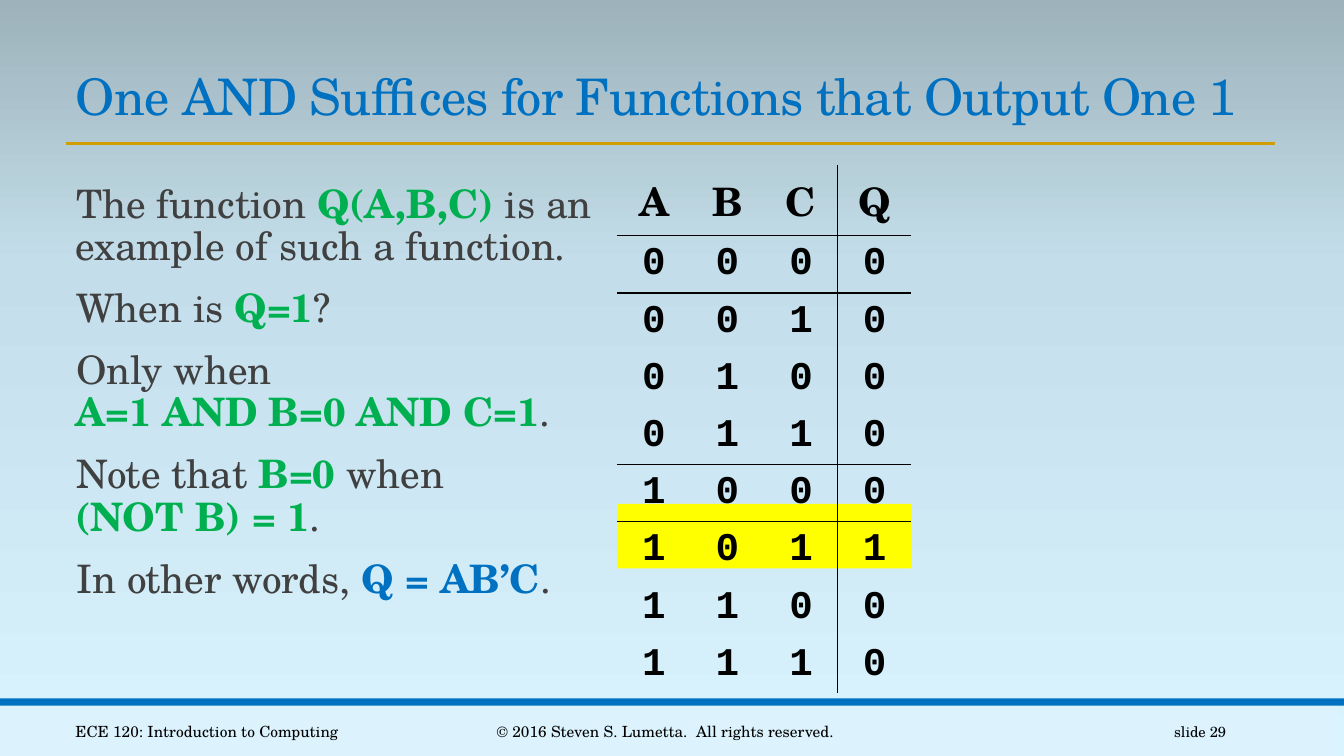
"""Build the slide on functions that output a single 1."""
import dataclasses
import itertools
import typing

import pptx
import pptx.dml.color
import pptx.enum.dml
import pptx.enum.shapes
import pptx.enum.text
import pptx.oxml
import pptx.oxml.ns
import pptx.util

EMU_PER_PX = 9144
SCHOLA = "TeX Gyre Schola"
COURIER = "Courier New"
BLACK = pptx.dml.color.RGBColor(0x00, 0x00, 0x00)
GREY = pptx.dml.color.RGBColor(0x40, 0x40, 0x40)
GREEN = pptx.dml.color.RGBColor(0x00, 0xB0, 0x50)
BLUE = pptx.dml.color.RGBColor(0x00, 0x70, 0xC0)
GOLD = pptx.dml.color.RGBColor(0xD0, 0x9E, 0x00)
YELLOW = pptx.dml.color.RGBColor(0xFF, 0xFF, 0x00)
PALE_BLUE = pptx.dml.color.RGBColor(0xDC, 0xF3, 0xFD)
SKY_STOPS = {
    0: pptx.dml.color.RGBColor(0xDA, 0xF4, 0xFF),
    65: pptx.dml.color.RGBColor(0xC3, 0xDE, 0xEA),
    100: pptx.dml.color.RGBColor(0x9D, 0xB2, 0xBA),
}
ALIGN = pptx.enum.text.PP_ALIGN
ANCHOR = pptx.enum.text.MSO_ANCHOR
NO_GRID_STYLE = "{2D5ABB26-0587-4C30-8999-92F81FD0307C}"
HEADINGS = "ABCQ"
COLUMN_WIDTH, HEADER_HEIGHT, ROW_HEIGHT = 73, 70, 54
RULED_ROWS = (0, 4)


@dataclasses.dataclass(frozen=True)
class Box:
    """A place on the slide in px."""
    left: int
    top: int
    width: int
    height: int

    def emu(self) -> list[int]:
        """Return left, top, width and height in EMU."""
        return [px(value) for value in dataclasses.astuple(self)]


@dataclasses.dataclass(frozen=True)
class Bar:
    """A plain filled rectangle."""
    box: Box
    color: pptx.dml.color.RGBColor


@dataclasses.dataclass(frozen=True)
class Footer:
    """A small text at the foot of the slide."""
    box: Box
    text: str
    size: float
    alignment: ALIGN


@dataclasses.dataclass(frozen=True)
class Span:
    """A piece of body text, coloured and bold when it is a formula."""
    text: str
    color: pptx.dml.color.RGBColor = GREY


BARS = (
    Bar(Box(-6, 700, 1333, 50), PALE_BLUE),
    Bar(Box(0, 693, 1333, 7), BLUE),
    Bar(Box(612, 500, 292, 64), YELLOW),
)
FOOTERS = (
    Footer(Box(65, 706, 325, 40), "ECE 120: Introduction to Computing", 11, ALIGN.LEFT),
    Footer(Box(403, 706, 514, 40), "© 2016 Steven S. Lumetta.  All rights reserved.", 11, ALIGN.CENTER),
    Footer(Box(1083, 706, 143, 40), "slide 29", 10.5, ALIGN.RIGHT),
)
BODY = (
    (Span("The function "), Span("Q(A,B,C)", GREEN), Span(" is an\nexample of such a function.")),
    (Span("When is "), Span("Q=1", GREEN), Span("?")),
    (Span("Only when\n"), Span("A=1 AND B=0 AND C=1", GREEN), Span(".")),
    (Span("Note that "), Span("B=0", GREEN), Span(" when \n"), Span("(NOT B) = 1", GREEN), Span(".")),
    (Span("In other words, "), Span("Q = AB’C", BLUE), Span(".")),
)


def px(value: int) -> int:
    """Turn px into EMU."""
    return value * EMU_PER_PX


def apply_format(target: typing.Any, values: dict[str, typing.Any]) -> None:
    """Set each named attribute of the target."""
    for name, value in values.items():
        setattr(target, name, value)


def place(shape: typing.Any, box: Box) -> None:
    """Move and size a shape."""
    apply_format(shape, dict(zip(("left", "top", "width", "height"), box.emu())))


def add_run(paragraph: typing.Any, text: str, size: float, color: pptx.dml.color.RGBColor,
            bold: bool = False, name: str = SCHOLA) -> typing.Any:
    """Add a formatted run to a paragraph."""
    run = paragraph.add_run()
    run.text = text
    apply_format(run.font, {"name": name, "size": pptx.util.Pt(size), "bold": bold})
    run.font.color.rgb = color
    return run


def add_xml(parent: typing.Any, xml: str, index: int | None = None) -> None:
    """Insert a drawing element into its parent."""
    element = pptx.oxml.parse_xml(xml.replace("/>" if xml.endswith("/>") and xml.count("<") == 1 else ">",
                                              f" {pptx.oxml.ns.nsdecls('a')}" + ("/>" if xml.count("<") == 1 else ">"), 1))
    parent.insert(len(parent) if index is None else index, element)


def paint_background(slide: typing.Any) -> None:
    """Fill the background with a vertical gradient."""
    fill = slide.background.fill
    fill.gradient()
    fill.gradient_angle = 90
    stops = slide.element.find(".//" + pptx.oxml.ns.qn("a:gsLst"))
    for stop in list(stops):
        stops.remove(stop)
    for position, color in SKY_STOPS.items():
        add_xml(stops, f'<a:gs pos="{position * 1000}"><a:srgbClr val="{color}"/></a:gs>')


def add_bar(slide: typing.Any, bar: Bar) -> None:
    """Draw a filled rectangle."""
    shape = slide.shapes.add_shape(pptx.enum.shapes.MSO_SHAPE.RECTANGLE, *bar.box.emu())
    shape.shadow.inherit = False
    shape.fill.solid()
    shape.fill.fore_color.rgb = bar.color
    shape.line.fill.background()


def add_title_rule(slide: typing.Any) -> None:
    """Draw the line below the title."""
    rule = slide.shapes.add_connector(pptx.enum.shapes.MSO_CONNECTOR.STRAIGHT,
                                      px(65), px(142), px(1265), px(142))
    rule.line.color.rgb = GOLD
    rule.line.width = pptx.util.Pt(2)
    add_xml(rule.element.spPr, "<a:effectLst/>")


def fill_title(title: typing.Any) -> None:
    """Place and write the title."""
    place(title, Box(65, 59, 1201, 71))
    apply_format(title.text_frame, {"vertical_anchor": ANCHOR.BOTTOM, "word_wrap": True,
                                    "auto_size": pptx.enum.text.MSO_AUTO_SIZE.NONE})
    paragraph = title.text_frame.paragraphs[0]
    apply_format(paragraph, {"alignment": ALIGN.LEFT, "line_spacing": 0.85})
    run = add_run(paragraph, "One AND Suffices for Functions that Output One 1", 36, BLUE)
    run.font._element.set("spc", "-50")


def fill_body(body: typing.Any) -> None:
    """Place and write the list."""
    place(body, Box(65, 178, 852, 464))
    frame = body.text_frame
    apply_format(frame, {"margin_left": 0, "margin_right": 0, "vertical_anchor": ANCHOR.TOP,
                         "word_wrap": True, "auto_size": pptx.enum.text.MSO_AUTO_SIZE.NONE})
    for index, spans in enumerate(BODY):
        paragraph = frame.add_paragraph() if index else frame.paragraphs[0]
        apply_format(paragraph, {"line_spacing": 0.9, "space_before": pptx.util.Pt(12),
                                 "space_after": pptx.util.Pt(2), "alignment": ALIGN.LEFT})
        properties = paragraph._p.get_or_add_pPr()
        properties.set("marL", str(px(10)))
        properties.set("indent", str(px(-10)))
        add_xml(properties, f'<a:buClr><a:srgbClr val="{BLUE}"/></a:buClr>')
        add_xml(properties, '<a:buChar char=" "/>')
        for span in spans:
            for line, text in enumerate(span.text.split("\n")):
                if line:
                    paragraph.add_line_break()
                if text:
                    add_run(paragraph, text, 28, span.color, span.color != GREY)


def add_footer(slide: typing.Any, footer: Footer) -> None:
    """Write a text at the foot of the slide."""
    frame = slide.shapes.add_textbox(*footer.box.emu()).text_frame
    apply_format(frame, {"word_wrap": True, "vertical_anchor": ANCHOR.MIDDLE})
    frame.paragraphs[0].alignment = footer.alignment
    add_run(frame.paragraphs[0], footer.text, footer.size, BLACK)


def add_truth_table(slide: typing.Any) -> None:
    """Draw the truth table of Q = AB'C."""
    inputs = list(itertools.product((0, 1), repeat=3))
    rows = [HEADINGS, *((*bits, int(bits == (1, 0, 1))) for bits in inputs)]
    box = Box(612, 164, COLUMN_WIDTH * len(HEADINGS), HEADER_HEIGHT + ROW_HEIGHT * len(inputs))
    graphic_frame = slide.shapes.add_table(len(rows), len(HEADINGS), *box.emu())
    table = graphic_frame.table
    apply_format(table, {"first_row": False, "horz_banding": False})
    graphic_frame.element.find(".//" + pptx.oxml.ns.qn("a:tableStyleId")).text = NO_GRID_STYLE
    for row, values in enumerate(rows):
        table.rows[row].height = px(ROW_HEIGHT if row else HEADER_HEIGHT)
        for column, value in enumerate(values):
            cell = table.cell(row, column)
            cell.vertical_anchor = ANCHOR.MIDDLE
            cell.fill.background()
            paragraph = cell.text_frame.paragraphs[0]
            paragraph.alignment = ALIGN.CENTER
            add_run(paragraph, str(value), 28, BLACK, True, COURIER if row else SCHOLA)
            borders = {"L": column == 3, "R": column == 2, "T": row - 1 in RULED_ROWS, "B": row in RULED_ROWS}
            sides = [side for side, drawn in borders.items() if drawn]
            for index, side in enumerate(sides):
                add_xml(cell._tc.get_or_add_tcPr(), f'<a:ln{side} w="12700"><a:solidFill><a:srgbClr val="{BLACK}"/>'
                        f'</a:solidFill></a:ln{side}>', index)


def main() -> None:
    """Build and save the presentation."""
    presentation = pptx.Presentation()
    apply_format(presentation, {"slide_width": px(1333), "slide_height": px(750)})
    slide = presentation.slides.add_slide(presentation.slide_layouts[1])
    paint_background(slide)
    fill_title(slide.shapes.title)
    fill_body(slide.placeholders[1])
    for bar in BARS:
        add_bar(slide, bar)
    add_title_rule(slide)
    for footer in FOOTERS:
        add_footer(slide, footer)
    add_truth_table(slide)
    presentation.save("out.pptx")


if __name__ == "__main__":
    main()
